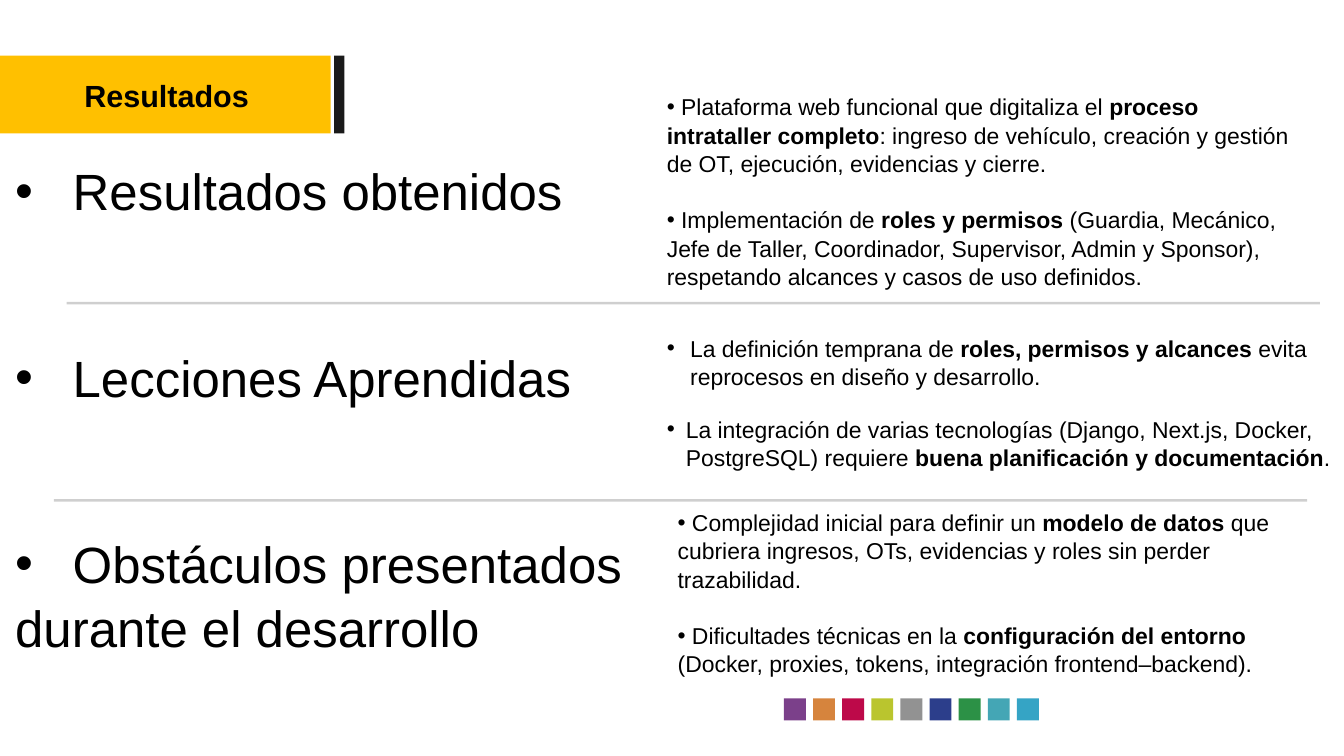
from lxml import etree
from pptx import Presentation
from pptx.dml.color import RGBColor
from pptx.enum.shapes import MSO_CONNECTOR, MSO_SHAPE
from pptx.enum.text import MSO_ANCHOR, MSO_AUTO_SIZE, PP_ALIGN
from pptx.oxml.ns import qn
from pptx.util import Cm, Pt

RECT = MSO_SHAPE.RECTANGLE
STRAIGHT = MSO_CONNECTOR.STRAIGHT
TOP, MIDDLE = MSO_ANCHOR.TOP, MSO_ANCHOR.MIDDLE
LEFT, CENTER = PP_ALIGN.LEFT, PP_ALIGN.CENTER
NO_AUTOFIT = MSO_AUTO_SIZE.NONE

FONT = "Arial"
COLORS = {
    "text": "000000", "banner": "FFC000", "bar": "1A1A1A",
    "purple": "7B408A", "orange": "D6843D", "crimson": "BD0949",
    "lime": "BAC52E", "gray": "929292", "navy": "2C3E8B",
    "green": "2C9146", "teal": "44A6B5", "sky": "35A4C5",
}
SQUARES = ["purple", "orange", "crimson", "lime", "gray", "navy", "green", "teal", "sky"]


def add_par(tf, text, size=27, bold=False, bullet=True, indent=0, before=0,
            spacing=1.04, align=LEFT):
    """Add a paragraph; text between ** marks is bold."""
    p = tf.paragraphs[0] if not tf.text else tf.add_paragraph()
    pPr = p._p.get_or_add_pPr()
    pPr.set("marL", str(Cm(indent)))
    pPr.set("indent", str(-Cm(indent)))
    if bullet:
        clr = etree.SubElement(pPr, qn("a:buClr"))
        etree.SubElement(clr, qn("a:srgbClr"), val=COLORS["text"])
        etree.SubElement(pPr, qn("a:buFont"), typeface=FONT)
        etree.SubElement(pPr, qn("a:buChar"), char="•")
    else:
        etree.SubElement(pPr, qn("a:buNone"))
    p.alignment, p.line_spacing = align, spacing
    p.space_before, p.space_after = Pt(before), Pt(0)
    for i, part in enumerate(text.split("**")):
        if part:
            r = p.add_run()
            r.text = part
            r.font.name, r.font.size = FONT, Pt(size)
            r.font.bold = bold or i % 2 == 1
            r.font.color.rgb = RGBColor.from_string(COLORS["text"])


def add_rect(left, top, width, height, color):
    sp = s.shapes.add_shape(RECT, Cm(left), Cm(top), Cm(width), Cm(height))
    sp.shadow.inherit = False
    sp.fill.solid()
    sp.fill.fore_color.rgb = RGBColor.from_string(COLORS[color])
    sp.line.fill.background()
    return sp


prs = Presentation()
prs.slide_width, prs.slide_height = Cm(55.85), Cm(31.42)
s = prs.slides.add_slide(prs.slide_layouts[1])
title, headings = s.shapes.title, s.placeholders[1]

# Banner behind the title
banner = add_rect(0, 2.31, 13.74, 3.24, "banner")
title.element.addprevious(banner.element)
add_rect(13.89, 2.31, 0.42, 3.24, "bar")

for i, color in enumerate(SQUARES):
    add_rect(32.58 + 1.21 * i, 29.03, 0.91, 0.91, color)

# Title and section headings
for sp, box, inset, anchor in [
    (title, (0.89, 2.41, 12.07, 3.07), 0, MIDDLE),
    (headings, (0.38, 6.27, 43.69, 10.62), 0.25, TOP),
]:
    sp.left, sp.top, sp.width, sp.height = map(Cm, box)
    tf = sp.text_frame
    tf.auto_size, tf.word_wrap, tf.vertical_anchor = NO_AUTOFIT, True, anchor
    tf.margin_left = tf.margin_right = tf.margin_top = tf.margin_bottom = Cm(inset)

add_par(title.text_frame, "Resultados", size=36, bold=True, bullet=False,
        spacing=1, align=CENTER)
for text, before, bullet in [
    ("Resultados obtenidos", 0, True),
    ("Lecciones Aprendidas", 144, True),
    ("Obstáculos presentados", 144, True),
    ("durante el desarrollo", 0, False),
]:
    add_par(headings.text_frame, text, size=60, bullet=bullet,
            indent=2.39 if bullet else 0, before=before, spacing=1.05)

# Details: box, anchor, hanging indent, paragraphs
DETAILS = [
    ((27.46, 3.78, 26.64, 8.33), MIDDLE, 0, [
        " Plataforma web funcional que digitaliza el **proceso intrataller completo**: "
        "ingreso de vehículo, creación y gestión de OT, ejecución, evidencias y cierre.",
        " Implementación de **roles y permisos** (Guardia, Mecánico, Jefe de Taller, "
        "Coordinador, Supervisor, Admin y Sponsor), respetando alcances y casos de uso "
        "definidos."]),
    ((27.46, 13.72, 28.4, 2.57), TOP, 0.97, [
        "La definición temprana de **roles, permisos y alcances** evita reprocesos en "
        "diseño y desarrollo."]),
    ((27.46, 17.09, 28.4, 2.57), TOP, 0.79, [
        "La integración de varias tecnologías (Django, Next.js, Docker, PostgreSQL) "
        "requiere **buena planificación y documentación**."]),
    ((27.91, 21.03, 26.92, 7.19), MIDDLE, 0, [
        " Complejidad inicial para definir un **modelo de datos** que cubriera ingresos, "
        "OTs, evidencias y roles sin perder trazabilidad.",
        " Dificultades técnicas en la **configuración del entorno** (Docker, proxies, "
        "tokens, integración frontend–backend)."]),
]
for box, anchor, indent, texts in DETAILS:
    tf = s.shapes.add_textbox(*map(Cm, box)).text_frame
    tf.word_wrap, tf.vertical_anchor = True, anchor
    for i, text in enumerate(texts):
        add_par(tf, text, indent=indent, before=32 if i else 0)

# Translucent section dividers
for left, top in [(2.77, 12.6), (2.24, 20.8)]:
    line = s.shapes.add_connector(STRAIGHT, Cm(left), Cm(top), Cm(left + 52.08), Cm(top))
    line.line.width = Pt(3)
    line.line.color.rgb = RGBColor.from_string(COLORS["text"])
    spPr = line.element.spPr
    etree.SubElement(spPr.find(".//" + qn("a:srgbClr")), qn("a:alpha"), val="18000")
    etree.SubElement(spPr, qn("a:effectLst"))

prs.save("out.pptx")
